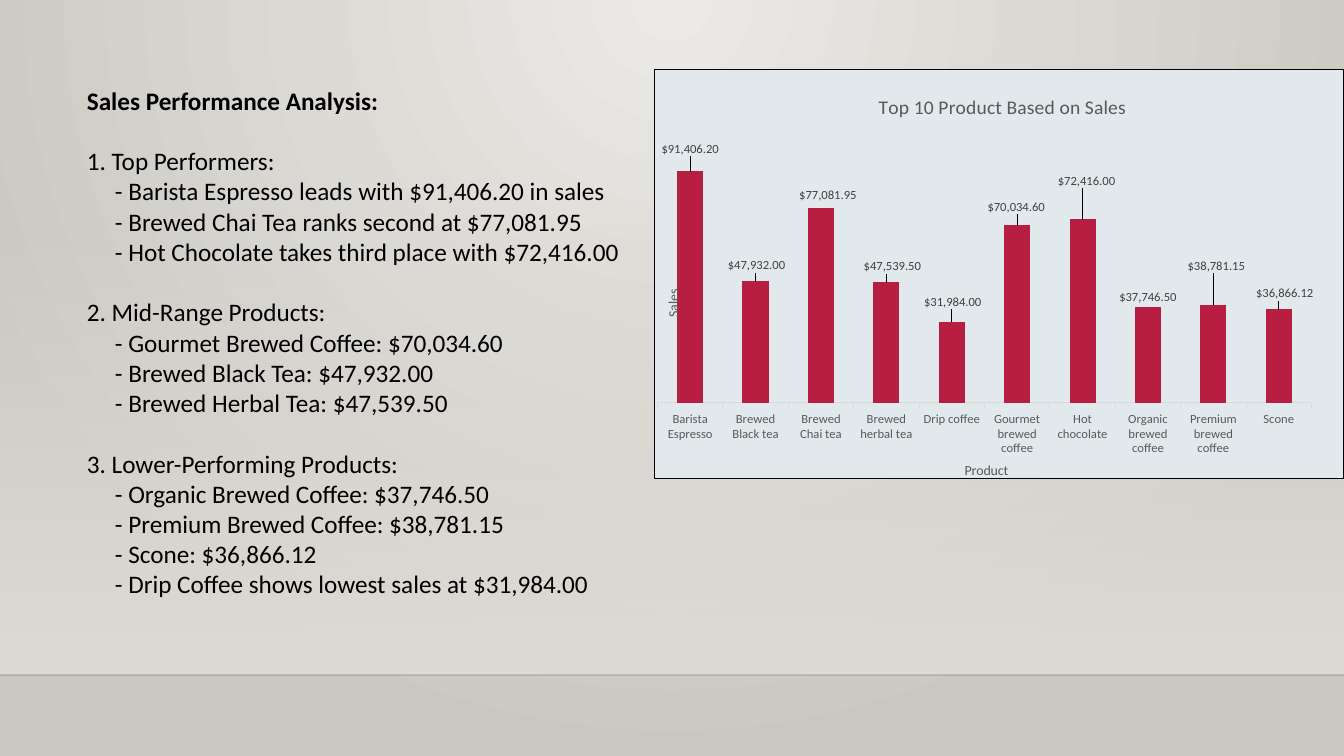
from typing import NamedTuple

from pptx import Presentation
from pptx.chart.data import CategoryChartData
from pptx.dml.color import RGBColor
from pptx.enum.chart import XL_CHART_TYPE, XL_LABEL_POSITION, XL_TICK_LABEL_POSITION, XL_TICK_MARK
from pptx.enum.shapes import MSO_CONNECTOR, MSO_SHAPE
from pptx.oxml import parse_xml
from pptx.oxml.ns import nsdecls, qn
from pptx.util import Emu, Pt

WIDE, HIGH = 1344, 756
FACE = "Calibri"
MONEY = "$#,##0.00"
CHART_W, CHART_H = 690, 414


class Group(NamedTuple):
    head: str
    items: list[str]


class Bar(NamedTuple):
    name: str
    sales: float
    dx: int  # label shift in px
    dy: int


GROUPS = [
    Group("1. Top Performers:", [
        "Barista Espresso leads with $91,406.20 in sales",
        "Brewed Chai Tea ranks second at $77,081.95",
        "Hot Chocolate takes third place with $72,416.00"]),
    Group("2. Mid-Range Products:", [
        "Gourmet Brewed Coffee: $70,034.60",
        "Brewed Black Tea: $47,932.00",
        "Brewed Herbal Tea: $47,539.50"]),
    Group("3. Lower-Performing Products:", [
        "Organic Brewed Coffee: $37,746.50",
        "Premium Brewed Coffee: $38,781.15",
        "Scone: $36,866.12",
        "Drip Coffee shows lowest sales at $31,984.00"]),
]

BARS = [
    Bar("Barista Espresso", 91406.20, 0, -34),
    Bar("Brewed Black tea", 47932.00, 1, -27),
    Bar("Brewed Chai tea", 77081.95, 7, -24),
    Bar("Brewed herbal tea", 47539.50, 6, -27),
    Bar("Drip coffee", 31984.00, 1, -31),
    Bar("Gourmet brewed coffee", 70034.60, -1, -30),
    Bar("Hot chocolate", 72416.00, 4, -50),
    Bar("Organic brewed coffee", 37746.50, 0, -21),
    Bar("Premium brewed coffee", 38781.15, 3, -50),
    Bar("Scone", 36866.12, 6, -27),
]


def px(n: int) -> Emu:
    return Emu(round(n * 12192000 / WIDE))


def tint(code: str) -> RGBColor:
    return RGBColor.from_string(code)


def style(font, size: float, code: str, bold: bool = False) -> None:
    font.name, font.size, font.bold = FACE, Pt(size), bold
    font.color.rgb = tint(code)


def fade(node, percent: int) -> None:
    """Set the opacity of a colour element."""
    node.append(parse_xml(f'<a:alpha {nsdecls("a")} val="{percent * 1000}"/>'))


def blend(fill, first: str, last: str) -> None:
    fill.gradient()
    for stop, code, spot in zip(fill.gradient_stops, (first, last), (0, 1)):
        stop.color.rgb = tint(code)
        stop.position = spot


def place(node, index: int, x: int, y: int, w: int = 0, h: int = 0, edge: bool = True) -> None:
    """Give a chart part a manual layout, in px within the chart."""
    for old in node.findall(qn("c:layout")):
        node.remove(old)
    tags = [("layoutTarget", "inner")] if w else []
    if edge:
        tags += [("xMode", "edge"), ("yMode", "edge")]
    tags += [("x", round(x / CHART_W, 4)), ("y", round(y / CHART_H, 4))]
    if w:
        tags += [("w", round(w / CHART_W, 4)), ("h", round(h / CHART_H, 4))]
    body = "".join(f'<c:{tag} val="{val}"/>' for tag, val in tags)
    node.insert(index, parse_xml(
        f'<c:layout {nsdecls("c")}><c:manualLayout>{body}</c:manualLayout></c:layout>'))


def caption(title, text: str, size: float, x: int, y: int) -> None:
    run = title.text_frame.paragraphs[0].add_run()
    run.text = text
    style(run.font, size, "595959")
    place(title._element, 1, x, y)


def backdrop(slide) -> None:
    # Radial glow from the top centre
    blend(slide.background.fill, "ECEAE7", "CAC7C1")
    grad = next(slide._element.iter(qn("a:gradFill")))
    grad.replace(grad.find(qn("a:lin")), parse_xml(
        f'<a:path {nsdecls("a")} path="circle">'
        '<a:fillToRect l="43000" r="43000" b="100000"/></a:path>'))

    # Wall that fades in towards the floor
    wall = slide.shapes.add_shape(MSO_SHAPE.RECTANGLE, 0, px(223), px(WIDE), px(452))
    wall.shadow.inherit = False
    wall.line.fill.background()
    blend(wall.fill, "DFDBD5", "DFDBD5")
    wall.fill.gradient_angle = 270
    fade(next(wall._element.iter(qn("a:srgbClr"))), 0)

    # Floor line
    floor = slide.shapes.add_connector(MSO_CONNECTOR.STRAIGHT, 0, px(675), px(WIDE), px(675))
    floor.line.width = Pt(1)
    floor.line.color.rgb = tint("000001")
    fade(next(floor._element.iter(qn("a:srgbClr"))), 20)
    floor._element.spPr.append(parse_xml(f'<a:effectLst {nsdecls("a")}/>'))


def write(para, text: str, bold: bool = False, gap: float = 0, inset: int = 0) -> None:
    para.line_spacing = Pt(21.6)
    para.space_before = Pt(gap)
    if inset:
        para._p.get_or_add_pPr().set("marL", str(px(inset)))
    run = para.add_run()
    run.text = text
    style(run.font, 18, "000000", bold)


def notes(slide) -> None:
    frame = slide.shapes.add_textbox(px(77), px(80), px(1142), px(529)).text_frame
    frame.word_wrap = True
    write(frame.paragraphs[0], "Sales Performance Analysis:", bold=True)
    for group in GROUPS:
        write(frame.add_paragraph(), group.head, gap=21.6)
        for item in group.items:
            write(frame.add_paragraph(), f"- {item}", inset=28)


def graph(slide) -> None:
    data = CategoryChartData(number_format=MONEY)
    data.categories = [bar.name for bar in BARS]
    data.add_series("Series 1", [bar.sales for bar in BARS])
    chart = slide.shapes.add_chart(XL_CHART_TYPE.COLUMN_STACKED, px(654), px(69),
                                   px(CHART_W), px(CHART_H), data).chart
    style(chart.font, 10, "000000")
    chart.has_legend = False
    chart.has_title = True
    caption(chart.chart_title, "Top 10 Product Based on Sales", 14, 221, 21)

    # Panel behind the columns
    chart._chartSpace.find(qn("c:chart")).addnext(parse_xml(
        f'<c:spPr {nsdecls("c", "a")}><a:solidFill><a:srgbClr val="E1E9EC"/></a:solidFill>'
        '<a:ln w="9525"><a:solidFill><a:srgbClr val="000000"/></a:solidFill></a:ln></c:spPr>'))
    place(chart._chartSpace.chart.plotArea, 0, 3, 81, 655, 256)

    # Axes
    cats, vals = chart.category_axis, chart.value_axis
    cats.major_tick_mark = XL_TICK_MARK.OUTSIDE
    cats.tick_label_position = XL_TICK_LABEL_POSITION.LOW
    cats.format.line.color.rgb = tint("D9D9D9")
    cats.format.line.width = Pt(0.75)
    style(cats.tick_labels.font, 9, "595959")
    caption(cats.axis_title, "Product", 10, 308, 394)
    vals.minimum_scale, vals.maximum_scale = 0, 100000
    vals.has_major_gridlines = False
    vals.visible = False
    caption(vals.axis_title, "Sales", 10, 7, 220)
    turn = vals.axis_title.text_frame._txBody.bodyPr
    turn.set("rot", "-5400000")
    turn.set("vert", "horz")

    # Columns and their labels
    plot = chart.plots[0]
    plot.gap_width, plot.overlap = 150, 100
    plot.vary_by_categories = False
    series = plot.series[0]
    series.format.fill.solid()
    series.format.fill.fore_color.rgb = tint("B71E42")
    tags = series.data_labels
    tags.show_value = True
    tags.number_format, tags.number_format_is_linked = MONEY, False
    tags.position = XL_LABEL_POSITION.INSIDE_END
    style(tags.font, 9, "404040")
    for i, bar in enumerate(BARS):
        label = series.points[i].data_label
        label.position = XL_LABEL_POSITION.INSIDE_END
        style(label.font, 9, "404040")
        place(tags._element.findall(qn("c:dLbl"))[i], 1, bar.dx, bar.dy, edge=False)


def main() -> None:
    deck = Presentation()
    deck.slide_width, deck.slide_height = px(WIDE), px(HIGH)
    slide = deck.slides.add_slide(deck.slide_layouts[6])
    backdrop(slide)
    notes(slide)
    graph(slide)
    deck.save("out.pptx")


if __name__ == "__main__":
    main()
